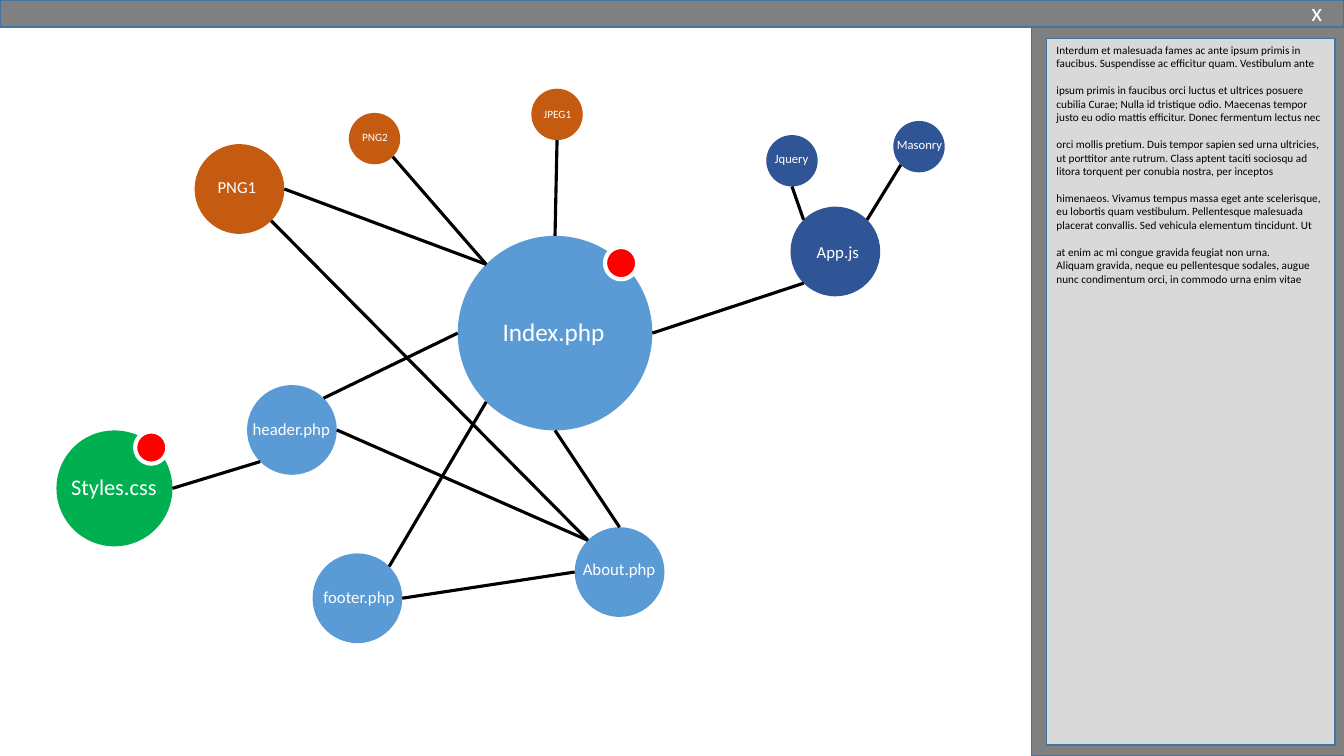
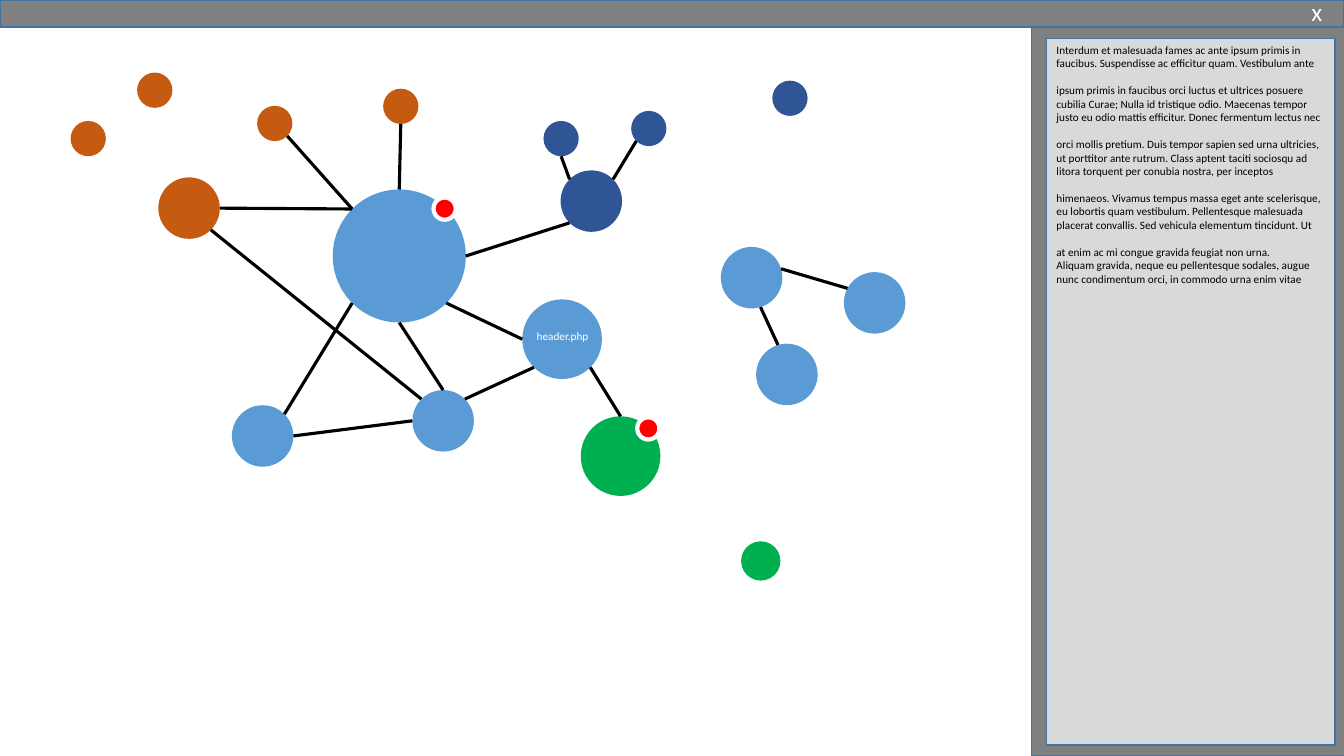
from dataclasses import dataclass
from math import cos, radians, sin

from lxml.etree import SubElement
from pptx import Presentation
from pptx.dml.color import RGBColor
from pptx.enum.shapes import MSO_CONNECTOR, MSO_SHAPE
from pptx.enum.text import MSO_ANCHOR, PP_ALIGN
from pptx.oxml.ns import qn
from pptx.util import Inches, Pt


@dataclass(frozen=True)
class Theme:
    font: str = "Calibri"
    page: str = "5B9BD5"
    image: str = "C55A11"
    script: str = "2F5597"
    style: str = "00B050"
    alert: str = "FF0000"
    bar: str = "808080"
    panel: str = "D9D9D9"
    border: str = "43739E"
    ink: str = "000000"
    white: str = "FFFFFF"
    tiny: int = 8
    small: int = 9
    medium: int = 12
    large: int = 16
    huge: int = 18
    line_gap: float = 9.7
    link_width: float = 2.25


T = Theme()

# Connection sites of an ellipse, counter-clockwise from the top
SITES = ["t", "tl", "l", "bl", "b", "br", "r", "tr"]

# Panel text, and whether a line of space follows
PANEL_TEXT = [
    ("Interdum et malesuada fames ac ante ipsum primis in faucibus. "
     "Suspendisse ac efficitur quam. Vestibulum ante", True),
    ("ipsum primis in faucibus orci luctus et ultrices posuere cubilia Curae; "
     "Nulla id tristique odio. Maecenas tempor justo eu odio mattis efficitur. "
     "Donec fermentum lectus nec", True),
    ("orci mollis pretium. Duis tempor sapien sed urna ultricies, ut porttitor "
     "ante rutrum. Class aptent taciti sociosqu ad litora torquent per conubia "
     "nostra, per inceptos", True),
    ("himenaeos. Vivamus tempus massa eget ante scelerisque, eu lobortis quam "
     "vestibulum. Pellentesque malesuada placerat convallis. Sed vehicula "
     "elementum tincidunt. Ut", True),
    ("at enim ac mi congue gravida feugiat non urna.", False),
    ("Aliquam gravida, neque eu pellentesque sodales, augue nunc condimentum "
     "orci, in commodo urna enim vitae", False),
]


class Deck:
    def __init__(self, theme):
        self.theme = theme
        self.prs = Presentation()
        self.prs.slide_width, self.prs.slide_height = Inches(13.33), Inches(7.5)

    def new_slide(self):
        self.s = self.prs.slides.add_slide(self.prs.slide_layouts[6])
        self.shapes = self.s.shapes
        self.nodes = {}
        self.frame()

    def start_group(self):
        self.shapes = self.s.shapes.add_group_shape().shapes

    def end_group(self):
        self.shapes = self.s.shapes

    def shape(self, kind, x, y, w, h, fill, line=None, width=1):
        sp = self.shapes.add_shape(kind, Inches(x), Inches(y), Inches(w), Inches(h))
        sp.shadow.inherit = False
        sp.fill.solid()
        sp.fill.fore_color.rgb = RGBColor.from_string(fill)
        if line:
            sp.line.color.rgb = RGBColor.from_string(line)
            sp.line.width = Pt(width)
        else:
            sp.line.fill.background()
        return sp

    def format(self, p, size, color, align):
        p.alignment = align
        for r in p.runs:
            r.font.name, r.font.size = self.theme.font, Pt(size)
            r.font.color.rgb = RGBColor.from_string(color)

    # Window bar, side panel and close mark
    def frame(self):
        t = self.theme
        self.shape(MSO_SHAPE.RECTANGLE, 0, 0, 13.33, 0.27, t.bar, t.border)
        self.shape(MSO_SHAPE.RECTANGLE, 10.23, 0.27, 3.11, 7.23, t.bar, t.border)
        panel = self.shape(MSO_SHAPE.RECTANGLE, 10.38, 0.38, 2.86, 7.01, t.panel, t.border)
        tf = panel.text_frame
        tf.word_wrap = True
        tf.vertical_anchor = MSO_ANCHOR.TOP
        for i, (text, gap) in enumerate(PANEL_TEXT):
            p = tf.add_paragraph() if i else tf.paragraphs[0]
            p.text = text
            p.space_after = Pt(t.line_gap if gap else 0)
            self.format(p, t.tiny, t.ink, PP_ALIGN.LEFT)
        self.label("x", 12.44, -0.09, t.huge)

    def label(self, text, x, y, size):
        box = self.shapes.add_textbox(Inches(x), Inches(y), Inches(1.24), Inches(0.41))
        tf = box.text_frame
        tf.word_wrap = True
        tf.margin_left = tf.margin_right = 0
        tf.vertical_anchor = MSO_ANCHOR.MIDDLE
        tf.text = text
        self.format(tf.paragraphs[0], size, self.theme.white, PP_ALIGN.CENTER)

    def node(self, name, x, y, d, fill, rotation=0):
        sp = self.shape(MSO_SHAPE.OVAL, x, y, d, d, fill)
        sp.rotation = rotation
        self.nodes[name] = sp

    def badge(self, x, y, d):
        self.shape(MSO_SHAPE.OVAL, x, y, d, d, self.theme.alert, self.theme.white, 3)

    def site(self, sp, side):
        angle = radians(sp.rotation - 90 - 45 * SITES.index(side))
        radius = sp.width / 2
        return (int(sp.left + radius * (1 + cos(angle))),
                int(sp.top + radius * (1 + sin(angle))))

    def link(self, start, start_side, end, end_side):
        a, b = self.nodes[start], self.nodes[end]
        line = self.shapes.add_connector(
            MSO_CONNECTOR.STRAIGHT, *self.site(a, start_side), *self.site(b, end_side))
        line.line.color.rgb = RGBColor.from_string(self.theme.ink)
        line.line.width = Pt(self.theme.link_width)
        SubElement(line.element.spPr, qn("a:effectLst"))
        # Attach both ends to the circles
        props = line.element.nvCxnSpPr.cNvCxnSpPr
        for tag, sp, side in (("a:stCxn", a, start_side), ("a:endCxn", b, end_side)):
            SubElement(props, qn(tag), id=str(sp.shape_id), idx=str(SITES.index(side)))

    def network(self, nodes, links):
        for node in nodes:
            self.node(*node)
        for link in links:
            self.link(*link)


# Links found on both slides
COMMON_LINKS = [
    ("jquery", "b", "app", "tl"), ("masonry", "bl", "app", "tr"),
    ("app", "bl", "index", "r"), ("index", "b", "about", "t"),
    ("about", "l", "footer", "r"), ("index", "bl", "footer", "tr"),
    ("png2", "br", "index", "tl"), ("jpeg1", "b", "index", "t"),
    ("png1", "r", "index", "tl"), ("png1", "br", "about", "tl"),
]

deck = Deck(T)

# Slide 1: labelled file map
deck.new_slide()
deck.network([
    ("jpeg1", 5.27, 0.88, 0.51, T.image),
    ("png2", 3.46, 1.12, 0.51, T.image),
    ("png1", 1.93, 1.43, 0.89, T.image),
    ("index", 4.54, 2.34, 1.93, T.page),
    ("header", 2.45, 3.82, 0.89, T.page),
    ("about", 5.7, 5.23, 0.89, T.page),
    ("footer", 3.1, 5.49, 0.89, T.page),
    ("styles", 0.56, 4.27, 1.15, T.style),
    ("jquery", 7.6, 1.34, 0.51, T.script),
    ("masonry", 8.86, 1.2, 0.51, T.script),
    ("app", 7.84, 2.05, 0.89, T.script),
], COMMON_LINKS + [
    ("styles", "r", "header", "bl"),
    ("header", "tr", "index", "l"),
    ("header", "r", "about", "tl"),
])
deck.badge(6, 2.45, 0.32)
deck.badge(1.34, 4.28, 0.32)
for label in [
    ("Index.php", 4.87, 3.08, T.huge),
    ("JPEG1", 4.91, 0.93, T.tiny),
    ("PNG1", 1.73, 1.65, T.medium),
    ("PNG2", 3.1, 1.15, T.tiny),
    ("About.php", 5.52, 5.44, T.medium),
    ("footer.php", 2.94, 5.72, T.medium),
    ("header.php", 2.27, 4.05, T.medium),
    ("Styles.css", 0.51, 4.62, T.large),
    ("App.js", 7.69, 2.29, T.medium),
    ("Jquery", 7.23, 1.37, T.small),
    ("Masonry", 8.5, 1.23, T.small),
]:
    deck.label(*label)

# Slide 2: zoomed-out map
deck.new_slide()
deck.network([
    ("jpeg1", 3.8, 0.88, 0.35, T.image),
    ("png2", 2.55, 1.05, 0.35, T.image),
    ("png1", 1.57, 1.76, 0.61, T.image),
    ("index", 3.3, 1.88, 1.32, T.page),
    ("header", 5.18, 2.97, 0.79, T.page),
    ("about", 4.09, 3.87, 0.61, T.page),
    ("footer", 2.3, 4.02, 0.61, T.page),
    ("styles", 5.76, 4.13, 0.79, T.style),
    ("jquery", 5.39, 1.2, 0.35, T.script),
    ("masonry", 6.26, 1.1, 0.35, T.script),
    ("app", 5.56, 1.69, 0.61, T.script),
    ("loose script", 7.66, 0.8, 0.35, T.script),
    ("loose style", 7.35, 5.37, 0.39, T.style),
    ("loose image 1", 0.7, 1.2, 0.35, T.image),
    ("loose image 2", 1.36, 0.72, 0.35, T.image),
], COMMON_LINKS + [
    ("styles", "t", "header", "br"),
    ("header", "l", "index", "br"),
    ("header", "bl", "about", "tr"),
])
deck.badge(4.3, 1.96, 0.22)
deck.badge(6.32, 4.14, 0.22)
deck.label("header.php", 4.96, 3.13, T.tiny)

# Separate cluster of pages, turned as a group
deck.start_group()
deck.network([
    ("hub", 7.15, 2.45, 0.61, T.page, 343.2),
    ("lower", 7.5, 3.41, 0.61, T.page, 343.2),
    ("right", 8.37, 2.7, 0.61, T.page, 343.2),
], [("lower", "t", "hub", "b"), ("hub", "r", "right", "tl")])
deck.end_group()

deck.prs.save("out.pptx")
